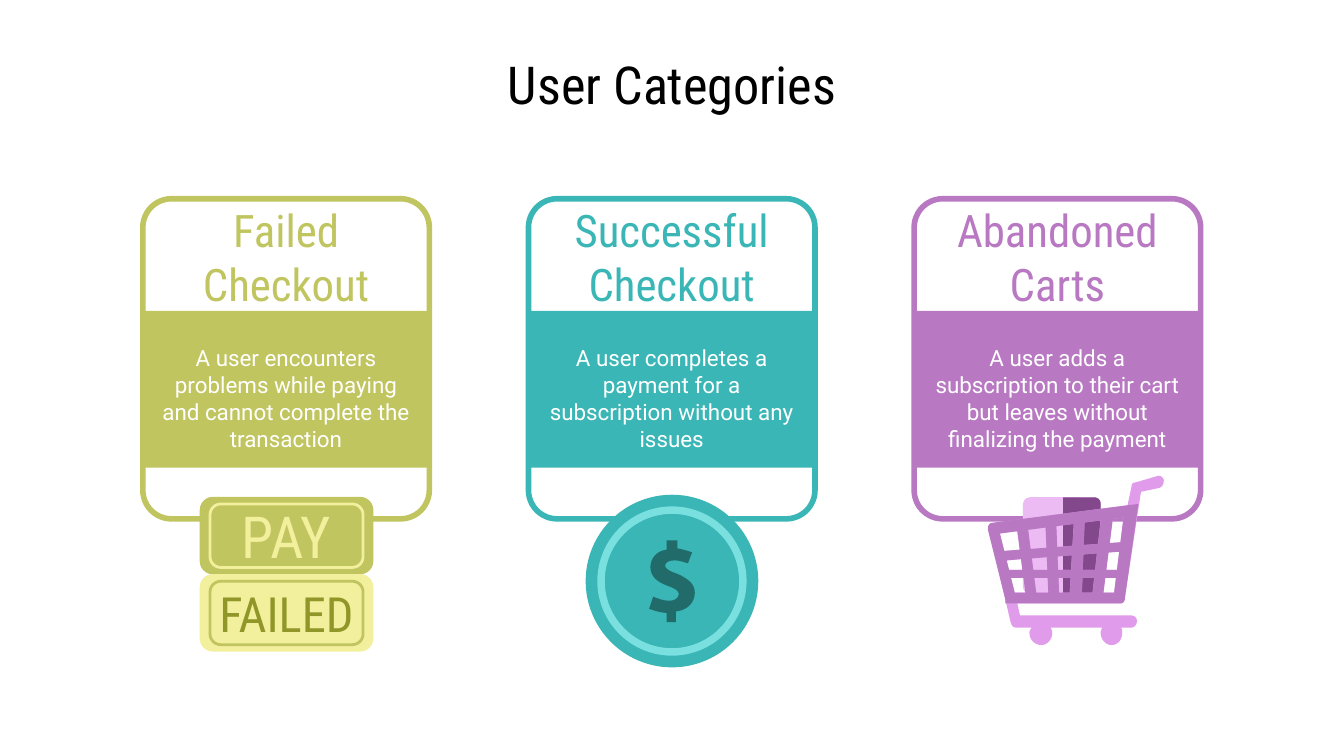
from pptx import Presentation
from pptx.dml.color import RGBColor
from pptx.enum.shapes import MSO_SHAPE as SHAPE
from pptx.enum.text import MSO_ANCHOR as ANCHOR, PP_ALIGN as ALIGN
from pptx.util import Pt

rgb = RGBColor.from_string
OLIVE, TEAL, PURPLE = "C0C55F", "39B6B5", "B878C2"
CREAM = "F2EF9D"


def put_text(sp, text, size, color, font="Roboto Condensed", inset=3.6):
    tf = sp.text_frame
    tf.word_wrap = True
    tf.vertical_anchor = ANCHOR.MIDDLE
    tf.margin_left = tf.margin_right = Pt(7.2)
    tf.margin_top = tf.margin_bottom = Pt(inset)
    p = tf.paragraphs[0]
    p.alignment = ALIGN.CENTER
    p.text = text
    for r in p.runs:
        r.font.size = Pt(size)
        r.font.name = font
        r.font.color.rgb = rgb(color)


def paint(sp, fill=None, line=None, width=0, adj=None):
    sp.shadow.inherit = False
    if fill:
        sp.fill.solid()
        sp.fill.fore_color.rgb = rgb(fill)
    else:
        sp.fill.background()
    if line:
        sp.line.color.rgb = rgb(line)
        sp.line.width = Pt(width)
    else:
        sp.line.fill.background()
    if adj is not None:
        sp.adjustments[0] = adj
    return sp


prs = Presentation()
prs.slide_width, prs.slide_height = Pt(720), Pt(405)
s = prs.slides.add_slide(prs.slide_layouts[6])
shapes = s.shapes

# Title
put_text(shapes.add_textbox(Pt(198), Pt(32.5), Pt(324), Pt(25)),
         "User Categories", 28, "000000", inset=7.2)

# Three cards
cards = [
    ("Failed\vCheckout", OLIVE,
     "A user encounters problems while paying and cannot complete the transaction"),
    ("Successful Checkout", TEAL,
     "A user completes a payment for a subscription without any issues"),
    ("Abandoned\vCarts", PURPLE,
     "A user adds a subscription to their cart but leaves without finalizing the payment"),
]
card_w = Pt(153.5)
for i, (heading, color, body) in enumerate(cards):
    x = Pt(76.5 + 206.6 * i)
    paint(shapes.add_shape(SHAPE.ROUNDED_RECTANGLE, x, Pt(106.5), card_w, Pt(171.5)),
          "FFFFFF", color, 3, 0.1)
    paint(shapes.add_shape(SHAPE.RECTANGLE, x, Pt(166.5), card_w, Pt(84)), color)
    put_text(shapes.add_textbox(x, Pt(121.5), card_w, Pt(31.5)), heading, 24, color)
    put_text(shapes.add_textbox(x, Pt(168.5), card_w, Pt(89.5)), body, 12, "FFFFFF",
             font="Roboto")

# Payment plates
plates = [("PAY", 31, OLIVE, CREAM, CREAM), ("FAILED", 26, CREAM, "909628", OLIVE)]
for i, (word, size, fill, color, frame) in enumerate(plates):
    y = 266.2 + 41.4 * i
    sp = paint(shapes.add_shape(SHAPE.ROUNDED_RECTANGLE, Pt(107), Pt(y), Pt(93), Pt(41.5)),
               fill, adj=0.17)
    put_text(sp, word, size, color, inset=7.2)
    paint(shapes.add_shape(SHAPE.ROUNDED_RECTANGLE, Pt(112.5), Pt(y + 3.8), Pt(82), Pt(34)),
          line=frame, width=1.5, adj=0.17)

# Coin: disc and ring
for kind, size, fill, adj in [(SHAPE.OVAL, 92.5, TEAL, None),
                              (SHAPE.DONUT, 80, "7AE0DF", 0.05)]:
    paint(shapes.add_shape(kind, Pt(360 - size / 2), Pt(311.3 - size / 2), Pt(size), Pt(size)),
          fill, adj=adj)

# Product box in the cart
paint(shapes.add_shape(SHAPE.ROUNDED_RECTANGLE, Pt(548), Pt(266.4), Pt(41.8), Pt(51.8)),
      "EDBBF4", adj=0.09)

# Outlines in units of 0.72 pt: two numbers are a line, six a Bézier curve
dollar = [
    (496, 402), (496, 409), (488, 410, 484, 416, 484, 422),
    (484, 429, 489, 433, 497, 436), (503, 438, 505, 440, 505, 442),
    (505, 445, 502, 447, 498, 447), (493, 447, 489, 445, 486, 444),
    (483, 453), (486, 454, 491, 456, 496, 456), (496, 463), (503, 463),
    (503, 455), (512, 454, 517, 448, 517, 441), (517, 435, 513, 431, 504, 427),
    (498, 425, 495, 423, 495, 421), (495, 419, 497, 417, 502, 417),
    (507, 417, 510, 419, 512, 419), (515, 411), (512, 410, 509, 409, 504, 408),
    (504, 402),
]
box_side = [(791, 370), (791, 442), (814, 442), (817, 442, 819, 439, 819, 436),
            (819, 375), (819, 372, 817, 370, 814, 370)]
frame = [
    (862, 354), (845, 359), (843, 359, 842, 360, 842, 362), (839, 376),
    (740, 389), (737, 389, 736, 391, 736, 394), (752, 463),
    (753, 466, 754, 467, 756, 467), (768, 467), (767, 468, 766, 469, 766, 471),
    (766, 476, 770, 480, 775, 480), (779, 480, 783, 476, 783, 471),
    (783, 469, 782, 468, 782, 467), (820, 467), (820, 468, 819, 469, 819, 471),
    (819, 476, 823, 480, 827, 480), (832, 480, 835, 476, 835, 471),
    (835, 469, 835, 468, 834, 467), (842, 467), (844, 467, 846, 465, 846, 462),
    (846, 460, 844, 458, 842, 458), (759, 458), (757, 449), (833, 449),
    (835, 449, 837, 448, 837, 445), (849, 366), (863, 363),
    (865, 362, 866, 360, 866, 357), (865, 355, 864, 354, 862, 354),
]
basket = [(847, 375), (739, 389), (736, 389, 735, 391, 735, 394), (748, 446),
          (748, 449), (834, 449), (836, 449, 837, 447, 837, 445)]

# Basket openings: slanted rows crossed by edges that run from top to bottom x
columns = [((744, 755), (757, 763)), ((765, 771), (778, 780)), ((786, 788), (799, 796)),
           ((807, 805), (819, 813)), ((828, 821), (836, 829))]
rows = [((397, 0.13), (410, 0.07)), ((417, 0.07), (424, 0)), ((430, 0), (441, 0))]
holes = []
for upper, lower in rows:
    for left, right in columns:
        hole = []
        for (x0, x1), (y, slope) in [(left, upper), (right, upper),
                                     (right, lower), (left, lower)]:
            y0 = 397 - 0.13 * (x0 - 744)
            y -= slope * (x0 - 744)
            hole.append((x0 + (x1 - x0) * (y - y0) / (441 - y0), y))
        holes.append(hole)

# Draw each outline, with curves cut into short steps
STEPS = 8
for contours, fill in [([dollar], "216C6B"), ([box_side], "83478C"),
                       ([frame] + holes, "E19BEB"), ([basket] + holes, PURPLE)]:
    fb = None
    for contour in contours:
        pts = []
        for seg in contour:
            if len(seg) == 2:
                pts.append(seg)
                continue
            ctrl = [pts[-1], seg[:2], seg[2:4], seg[4:]]
            for k in range(1, STEPS + 1):
                t = k / STEPS
                weights = ((1 - t) ** 3, 3 * t * (1 - t) ** 2, 3 * t * t * (1 - t), t ** 3)
                pts.append(tuple(sum(w * c[a] for w, c in zip(weights, ctrl))
                                 for a in (0, 1)))
        pts = [(x * 72, y * 72) for x, y in pts]
        if fb is None:
            fb = shapes.build_freeform(*pts[0], scale=Pt(0.01))
        else:
            fb.move_to(*pts[0])
        fb.add_line_segments(pts[1:], close=True)
    paint(fb.convert_to_shape(), fill)

prs.save("out.pptx")
